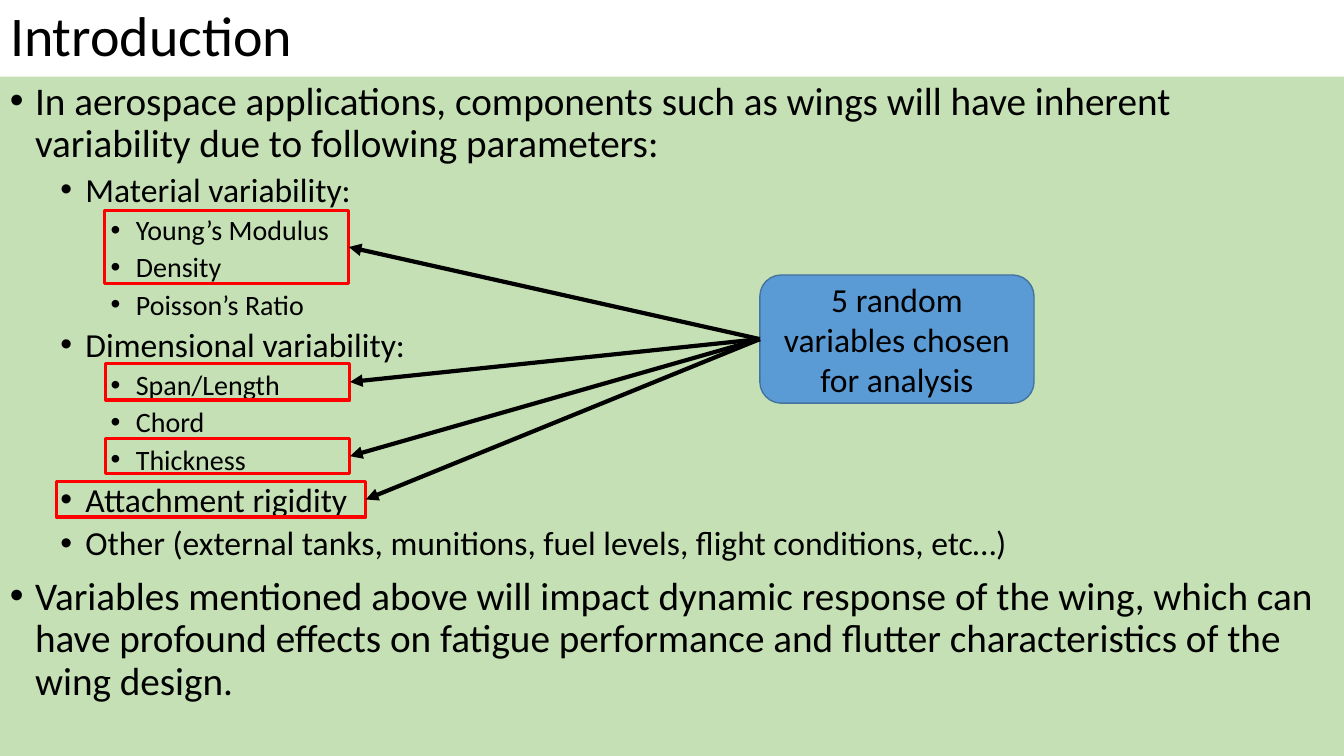
import pptx
import pptx.util
import pptx.dml.color
import pptx.enum.shapes
import pptx.enum.text
import pptx.oxml
import pptx.oxml.ns
from lxml import etree

Cm = pptx.util.Cm
Pt = pptx.util.Pt
RGBColor = pptx.dml.color.RGBColor
SHAPE = pptx.enum.shapes.MSO_SHAPE
ANCHOR = pptx.enum.text.MSO_ANCHOR
ALIGN = pptx.enum.text.PP_ALIGN
qn = pptx.oxml.ns.qn

BLACK = RGBColor(0x00, 0x00, 0x00)
PALE_GREEN = RGBColor(0xC5, 0xE0, 0xB4)
RED = RGBColor(0xFF, 0x00, 0x00)
BLUE = RGBColor(0x5B, 0x9B, 0xD5)
DARK_BLUE = RGBColor(0x43, 0x73, 0x9E)

FONT = "Calibri"
SLIDE_WIDTH, SLIDE_HEIGHT, TITLE_HEIGHT = Cm(33.87), Cm(19.05), Cm(1.93)
LEVEL_SIZES = (28, 24, 20)
LEVEL_SPACING = (10, 5, 5)
LEFT_SITE, RIGHT_SITE = 1, 3

OUTLINE = [
    (0, "In aerospace applications, components such as wings will have inherent "
        "variability due to following parameters:"),
    (1, "Material variability:"),
    (2, "Young’s Modulus"),
    (2, "Density"),
    (2, "Poisson’s Ratio"),
    (1, "Dimensional variability:"),
    (2, "Span/Length"),
    (2, "Chord"),
    (2, "Thickness"),
    (1, "Attachment rigidity"),
    (1, "Other (external tanks, munitions, fuel levels, flight conditions, etc…)"),
    (0, "Variables mentioned above will impact dynamic response of the wing, which can "
        "have profound effects on fatigue performance and flutter characteristics of the "
        "wing design."),
]

CHOSEN_VARIABLES = [
    (2.64, 5.31, 6.15, 1.83),
    (2.67, 9.17, 6.15, 0.91),
    (2.67, 11.05, 6.15, 0.89),
    (1.42, 12.14, 7.8, 0.89),
]


def add_run(paragraph, text, size):
    run = paragraph.add_run()
    run.text = text
    run.font.name = FONT
    run.font.size = Pt(size)
    run.font.color.rgb = BLACK


def set_title(slide, text):
    title = slide.shapes.title
    title.left, title.top = Cm(0), Cm(0)
    title.width, title.height = SLIDE_WIDTH, TITLE_HEIGHT
    frame = title.text_frame
    frame.auto_size = pptx.enum.text.MSO_AUTO_SIZE.NONE
    frame.vertical_anchor = ANCHOR.MIDDLE
    heading = frame.paragraphs[0]
    heading.alignment = ALIGN.LEFT
    heading.line_spacing = 0.9
    add_run(heading, text, 40)


def set_bullet(paragraph, level):
    properties = paragraph._p.get_or_add_pPr()
    properties.set("marL", str(Cm(0.635 + 1.27 * level)))
    properties.set("indent", str(Cm(-0.635)))
    etree.SubElement(properties, qn("a:buFont")).set("typeface", "Arial")
    etree.SubElement(properties, qn("a:buChar")).set("char", "•")


def add_outline(slide, entries):
    panel = slide.shapes.add_textbox(
        Cm(0), TITLE_HEIGHT, SLIDE_WIDTH, SLIDE_HEIGHT - TITLE_HEIGHT)
    panel.fill.solid()
    panel.fill.fore_color.rgb = PALE_GREEN
    frame = panel.text_frame
    frame.word_wrap = True
    for index, (level, text) in enumerate(entries):
        entry = frame.add_paragraph() if index else frame.paragraphs[0]
        entry.level = level
        entry.line_spacing = 0.9
        entry.space_before = Pt(LEVEL_SPACING[level])
        set_bullet(entry, level)
        add_run(entry, text, LEVEL_SIZES[level])


def add_box(slide, kind, bounds, line_color, line_width, fill_color=None):
    box = slide.shapes.add_shape(kind, *map(Cm, bounds))
    box.shadow.inherit = False
    if fill_color is None:
        box.fill.background()
    else:
        box.fill.solid()
        box.fill.fore_color.rgb = fill_color
    box.line.color.rgb = line_color
    box.line.width = Pt(line_width)
    return box


def add_callout(slide, text):
    callout = add_box(slide, SHAPE.ROUNDED_RECTANGLE,
                      (19.15, 6.93, 6.91, 3.23), DARK_BLUE, 1, BLUE)
    frame = callout.text_frame
    frame.word_wrap = True
    frame.vertical_anchor = ANCHOR.MIDDLE
    frame.paragraphs[0].alignment = ALIGN.CENTER
    add_run(frame.paragraphs[0], text, 24)
    return callout


def add_arrow(slide, source, target):
    arrow = slide.shapes.add_connector(
        pptx.enum.shapes.MSO_CONNECTOR.STRAIGHT, 0, 0, 0, 0)
    arrow.begin_connect(source, LEFT_SITE)
    arrow.end_connect(target, RIGHT_SITE)
    arrow.line.color.rgb = BLACK
    arrow.line.width = Pt(3)
    etree.SubElement(arrow.line._get_or_add_ln(), qn("a:tailEnd")).set("type", "triangle")
    etree.SubElement(arrow._element.spPr, qn("a:effectLst"))


def main():
    presentation = pptx.Presentation()
    presentation.slide_width = SLIDE_WIDTH
    presentation.slide_height = SLIDE_HEIGHT
    slide = presentation.slides.add_slide(presentation.slide_layouts[5])
    set_title(slide, "Introduction")
    add_outline(slide, OUTLINE)
    highlights = [add_box(slide, SHAPE.RECTANGLE, bounds, RED, 2.25)
                  for bounds in CHOSEN_VARIABLES]
    callout = add_callout(slide, "5 random variables chosen for analysis")
    for highlight in highlights:
        add_arrow(slide, callout, highlight)
    presentation.save("out.pptx")


main()
